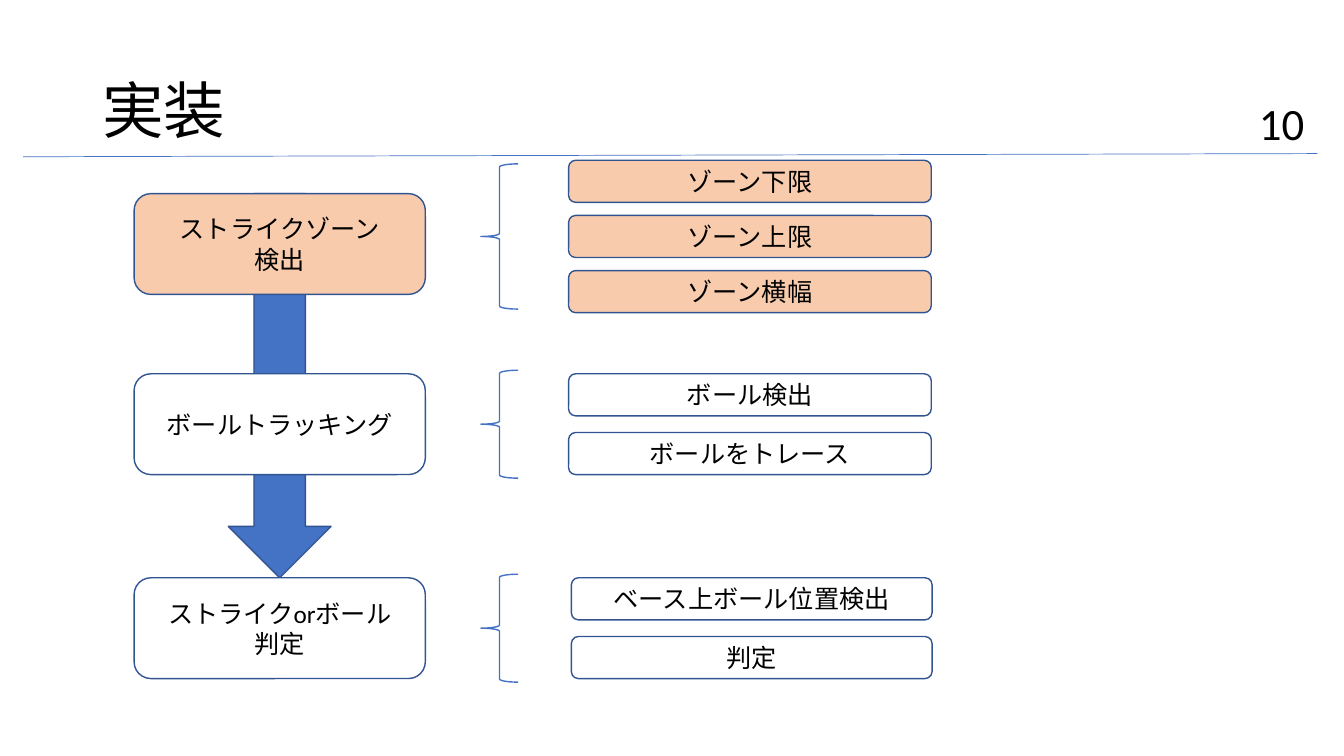
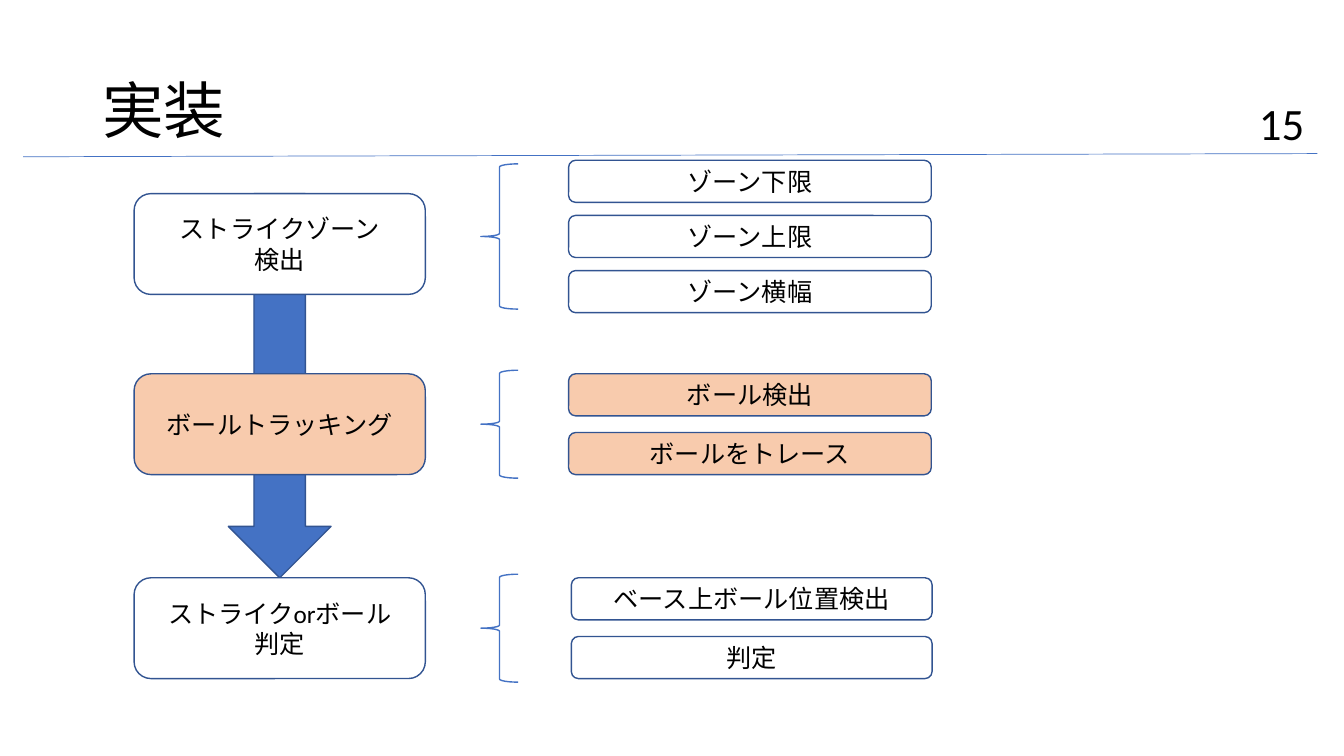
"""Build two progress slides of the pitch-judging flow, each with its current step highlighted."""
import pptx
import pptx.dml.color
import pptx.enum.shapes
import pptx.enum.text
import pptx.oxml
import pptx.oxml.ns
import pptx.util

Cm = pptx.util.Cm
Pt = pptx.util.Pt
RGBColor = pptx.dml.color.RGBColor
SHAPE = pptx.enum.shapes.MSO_SHAPE
ALIGN = pptx.enum.text.PP_ALIGN
ANCHOR = pptx.enum.text.MSO_ANCHOR

BLACK = RGBColor(0x00, 0x00, 0x00)
WHITE = RGBColor(0xFF, 0xFF, 0xFF)
BLUE = RGBColor(0x44, 0x72, 0xC4)
OUTLINE = RGBColor(0x32, 0x54, 0x91)
HIGHLIGHT = RGBColor(0xF8, 0xCB, 0xAD)
LATIN_FONT = "Calibri"
JAPANESE_FONT = "Noto Sans CJK JP"

STEP_LEFT, STEP_WIDTH, STEP_HEIGHT = 3.38, 7.34, 2.54
ARROW_WIDTH = 2.59
BRACE_LEFT, BRACE_WIDTH = 12.12, 0.94
DETAIL_HEIGHT = 1.06

STEPS = [
    {"top": 4.88, "lines": ["ストライクゾーン", "検出"],
     "details": ["ゾーン下限", "ゾーン上限", "ゾーン横幅"],
     "left": 14.33, "width": 9.14, "first": 4.04, "pitch": 1.39, "brace": 3.66},
    {"top": 9.42, "lines": ["ボールトラッキング"],
     "details": ["ボール検出", "ボールをトレース"],
     "left": 14.33, "width": 9.14, "first": 9.42, "pitch": 1.48, "brace": 2.72},
    {"top": 14.56, "lines": ["ストライクorボール", "判定"],
     "details": ["ベース上ボール位置検出", "判定"],
     "left": 14.4, "width": 9.09, "first": 14.56, "pitch": 1.48, "brace": 2.72},
]
PAGES = [("10", 0), ("15", 1)]


def write_lines(shape, lines, size, align, anchor, font=LATIN_FONT, spacing=None):
    frame = shape.text_frame
    frame.word_wrap = True
    frame.vertical_anchor = anchor
    for index, line in enumerate(lines):
        paragraph = frame.add_paragraph() if index else frame.paragraphs[0]
        paragraph.alignment = align
        paragraph.line_spacing = spacing
        run = paragraph.add_run()
        run.text = line
        run.font.size = Pt(size)
        run.font.name = font
        run.font.color.rgb = BLACK
        east_asian = pptx.oxml.parse_xml(
            f'<a:ea {pptx.oxml.ns.nsdecls("a")} typeface="{JAPANESE_FONT}"/>')
        run.font._element.append(east_asian)


def draw_shape(slide, kind, left, top, width, height, fill, line):
    shape = slide.shapes.add_shape(kind, Cm(left), Cm(top), Cm(width), Cm(height))
    shape.shadow.inherit = False
    if fill is None:
        shape.fill.background()
    else:
        shape.fill.solid()
        shape.fill.fore_color.rgb = fill
    shape.line.color.rgb = line
    shape.line.width = Pt(1)
    return shape


presentation = pptx.Presentation()
presentation.slide_width = Cm(33.87)
presentation.slide_height = Cm(19.05)

for number, current in PAGES:
    slide = presentation.slides.add_slide(presentation.slide_layouts[6])

    arrow_left = STEP_LEFT + (STEP_WIDTH - ARROW_WIDTH) / 2
    arrow_top = STEPS[0]["top"]
    draw_shape(slide, SHAPE.DOWN_ARROW, arrow_left, arrow_top,
               ARROW_WIDTH, STEPS[-1]["top"] - arrow_top, BLUE, OUTLINE)

    title = slide.shapes.add_textbox(Cm(2.33), Cm(1.01), Cm(29.21), Cm(3.68))
    write_lines(title, ["実装"], 44, ALIGN.LEFT, ANCHOR.MIDDLE, JAPANESE_FONT, 0.9)

    rule = slide.shapes.add_connector(
        pptx.enum.shapes.MSO_CONNECTOR.STRAIGHT, Cm(0.58), Cm(3.95), Cm(33.2), Cm(3.87))
    rule.line.color.rgb = BLUE
    rule.line.width = Pt(0.5)
    rule._element.spPr.append(
        pptx.oxml.parse_xml(f'<a:effectLst {pptx.oxml.ns.nsdecls("a")}/>'))

    page_number = slide.shapes.add_textbox(Cm(30.71), Cm(2.29), Cm(2.41), Cm(1.62))
    write_lines(page_number, [number], 32, ALIGN.RIGHT, ANCHOR.TOP)

    for index, step in enumerate(STEPS):
        fill = HIGHLIGHT if index == current else WHITE
        box = draw_shape(slide, SHAPE.ROUNDED_RECTANGLE, STEP_LEFT, step["top"],
                         STEP_WIDTH, STEP_HEIGHT, fill, OUTLINE)
        write_lines(box, step["lines"], 18, ALIGN.CENTER, ANCHOR.MIDDLE)

        for row, detail in enumerate(step["details"]):
            box = draw_shape(slide, SHAPE.ROUNDED_RECTANGLE, step["left"],
                             step["first"] + row * step["pitch"],
                             step["width"], DETAIL_HEIGHT, fill, OUTLINE)
            write_lines(box, [detail], 18, ALIGN.CENTER, ANCHOR.MIDDLE)

        details_height = (len(step["details"]) - 1) * step["pitch"] + DETAIL_HEIGHT
        brace_top = step["first"] + (details_height - step["brace"]) / 2
        draw_shape(slide, SHAPE.LEFT_BRACE, BRACE_LEFT, brace_top,
                   BRACE_WIDTH, step["brace"], None, BLUE)

presentation.save("out.pptx")
